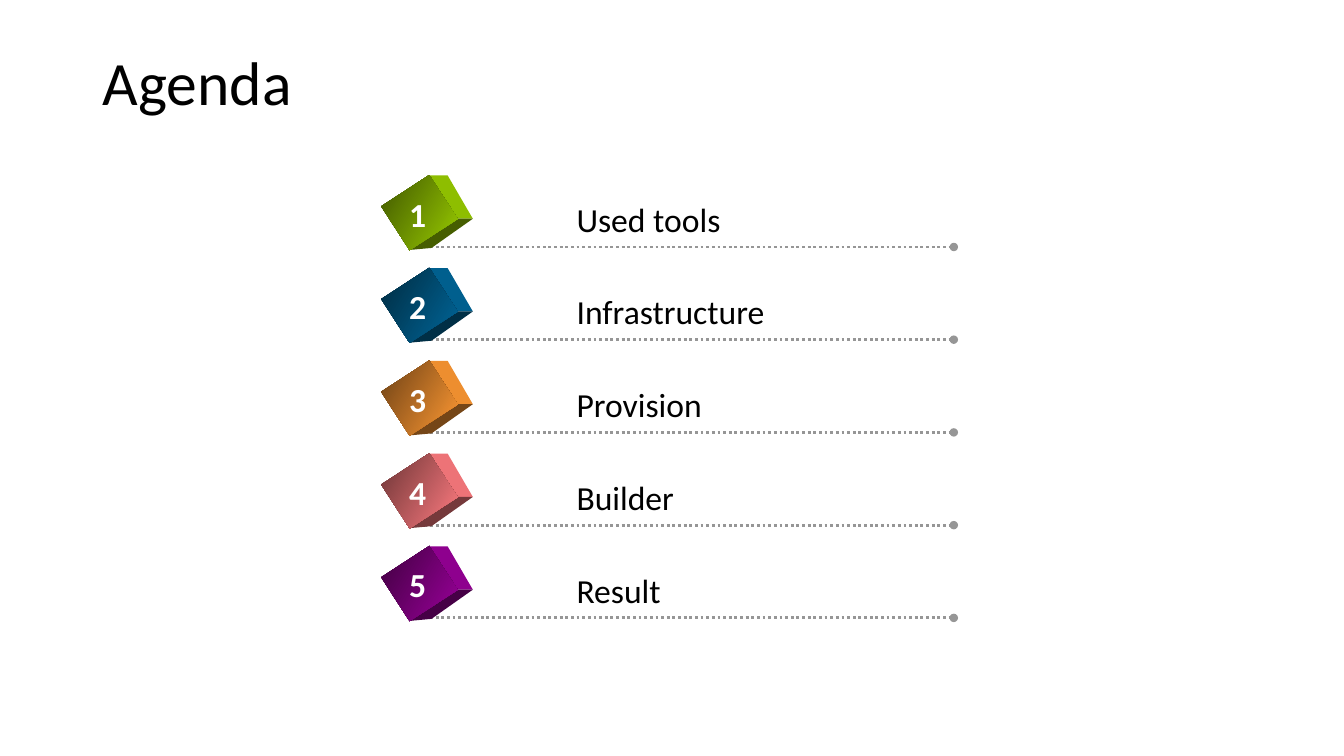
from lxml import etree
from pptx import Presentation
from pptx.dml.color import RGBColor
from pptx.enum.dml import MSO_LINE_DASH_STYLE as Dash
from pptx.enum.shapes import MSO_CONNECTOR as Connector, MSO_SHAPE as Shape
from pptx.enum.text import MSO_ANCHOR as Anchor
from pptx.oxml.ns import qn
from pptx.util import Inches, Pt

COLORS = {
    "text": "000000", "number": "FFFFFF", "rule": "969696",
    "green": "99CC00", "blue": "006699", "orange": "FF9933",
    "pink": "FF7C80", "purple": "990099",
}
# Label, label width, cube colour
AGENDA = [
    ("Used tools", 1.64, "green"),
    ("Infrastructure", 2.08, "blue"),
    ("Provision", 1.55, "orange"),
    ("Builder", 1.3, "pink"),
    ("Result", 1.05, "purple"),
]
FIRST_RULE, ROW = 2.45, 0.92
RULE_LEFT, RULE_RIGHT = 4.21, 9.46
CUBE_X, CUBE_RISE = 4.16, 0.34
CUBE_WIDTH, CUBE_HEIGHT, CUBE_TURN = 0.52, 0.57, 57
# Corners of the receding faces, from the centre of the front face, and their brightness
SIDE_FACES = [
    ([(0.1, -0.37), (0.28, -0.37), (0.53, 0.06), (0.38, 0.06)], 0.93),
    ([(-0.1, 0.37), (0.38, 0.06), (0.53, 0.06), (0.12, 0.35)], 0.46),
]
FRONT_SHADES = (0.42, 1)


def shade(name, brightness=1):
    """Return a palette colour, darkened to a share of its brightness."""
    return RGBColor(*(round(part * brightness) for part in RGBColor.from_string(COLORS[name])))


def add_text(shapes, text, area, color="text", **formats):
    box = shapes.add_textbox(*(Inches(length) for length in area))
    box.text_frame.word_wrap = False
    para = box.text_frame.paragraphs[0]
    span = para.add_run()
    span.text = text
    span.font.color.rgb = shade(color)
    for key, value in {"name": "Calibri", "size": Pt(24), **formats}.items():
        setattr(span.font, key, value)
    return box


deck = Presentation()
deck.slide_width, deck.slide_height = Inches(13.33), Inches(7.5)
page = deck.slides.add_slide(deck.slide_layouts[6])

title = add_text(page.shapes, "Agenda", (0.92, 0.4, 11.5, 0.9), size=Pt(44))
title.text_frame.word_wrap = True
title.text_frame.vertical_anchor = Anchor.MIDDLE
title.text_frame.paragraphs[0].line_spacing = 0.9

for index, (label, label_width, color) in enumerate(AGENDA):
    rule_y = FIRST_RULE + index * ROW
    cube_y = rule_y - CUBE_RISE
    item = page.shapes.add_group_shape().shapes

    rule = item.add_connector(Connector.STRAIGHT, Inches(RULE_LEFT), Inches(rule_y),
                              Inches(RULE_RIGHT), Inches(rule_y))
    rule.line.color.rgb = shade("rule")
    rule.line.width = Pt(2)
    rule.line.dash_style = Dash.ROUND_DOT
    etree.SubElement(rule.line._get_or_add_ln(), qn("a:tailEnd"), type="oval")
    etree.SubElement(rule._element.spPr, qn("a:effectLst"))

    for corners, brightness in SIDE_FACES:
        points = [(Inches(CUBE_X + x), Inches(cube_y + y)) for x, y in corners]
        outline = item.build_freeform(*points[0])
        outline.add_line_segments(points[1:])
        face = outline.convert_to_shape()
        face.shadow.inherit = False
        face.fill.solid()
        face.fill.fore_color.rgb = shade(color, brightness)
        face.line.fill.background()

    front = item.add_shape(Shape.RECTANGLE, Inches(CUBE_X - CUBE_WIDTH / 2),
                           Inches(cube_y - CUBE_HEIGHT / 2),
                           Inches(CUBE_WIDTH), Inches(CUBE_HEIGHT))
    front.rotation = CUBE_TURN
    front.shadow.inherit = False
    front.line.fill.background()
    front.fill.gradient()
    front.fill.gradient_angle = 26
    for stop, brightness in zip(front.fill.gradient_stops, FRONT_SHADES):
        stop.color.rgb = shade(color, brightness)

    add_text(item, label, (5.62, rule_y - 0.53, label_width, 0.51))
    add_text(item, str(index + 1), (3.96, rule_y - 0.58, 0.39, 0.5), "number", bold=True)

deck.save("out.pptx")
